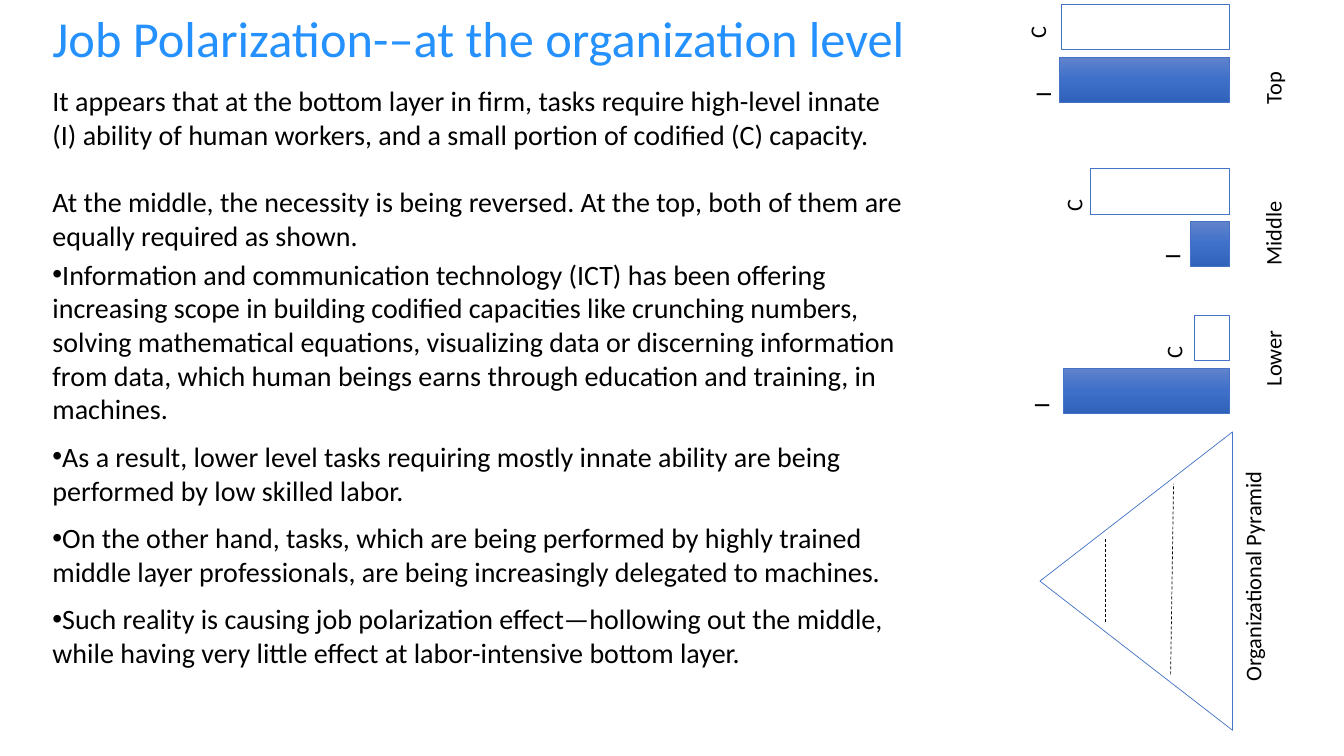
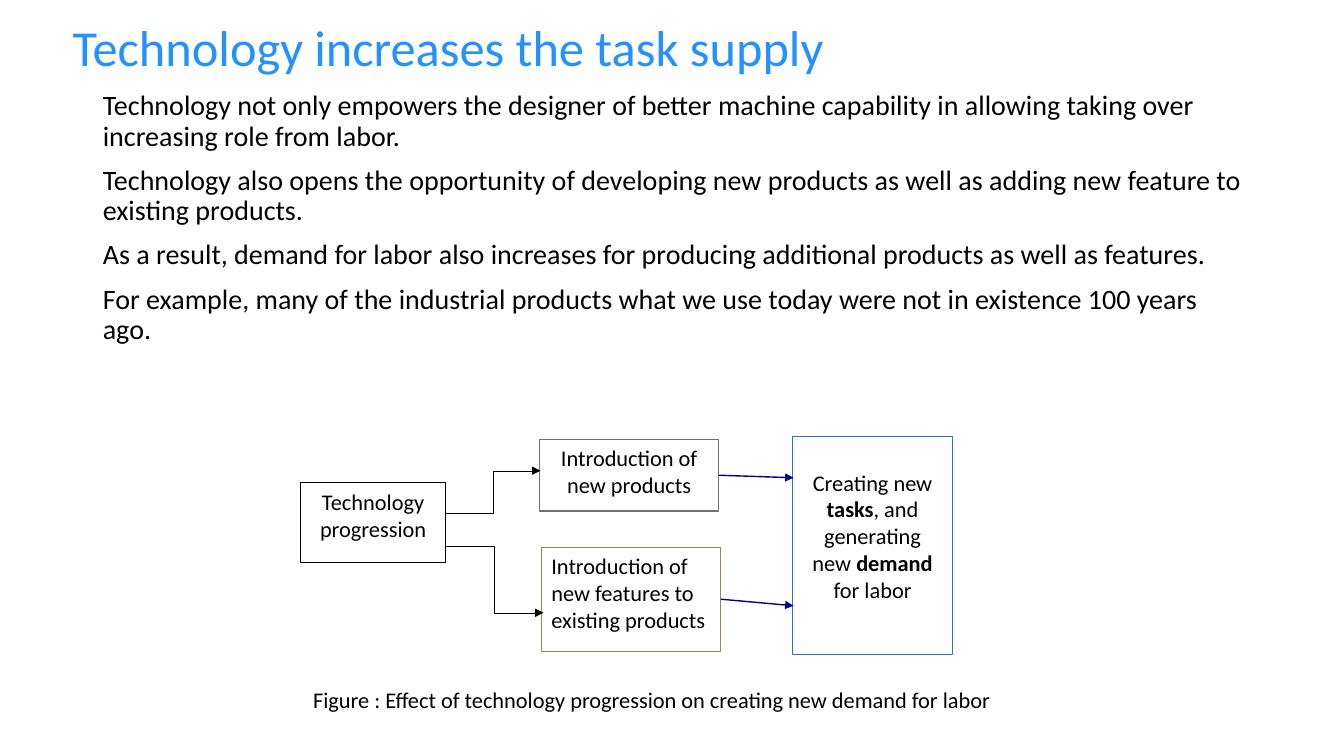
from lxml.etree import SubElement
from pptx import Presentation
from pptx.dml.color import RGBColor
from pptx.enum.dml import MSO_LINE
from pptx.enum.shapes import MSO_CONNECTOR, MSO_SHAPE
from pptx.enum.text import MSO_ANCHOR, MSO_AUTO_SIZE, PP_ALIGN
from pptx.oxml.ns import qn
from pptx.util import Inches, Pt

WIDTH, HEIGHT = Inches(13.33), Inches(7.5)
FONT = "Calibri"
BLACK = RGBColor(0x00, 0x00, 0x00)
WHITE = RGBColor(0xFF, 0xFF, 0xFF)
TITLE_BLUE = RGBColor(0x24, 0x91, 0xFE)
OUTLINE_BLUE = RGBColor(0x44, 0x72, 0xC4)
BAR_SHADES = (
    (0, RGBColor(0x61, 0x83, 0xCB)),
    (50, RGBColor(0x3E, 0x70, 0xCA)),
    (100, RGBColor(0x30, 0x62, 0xBB)),
)
GRAY = RGBColor(0x76, 0x71, 0x71)
OLIVE = RGBColor(0x94, 0x8A, 0x54)
DEMAND_BLUE = RGBColor(0x2E, 0x75, 0xB6)
NAVY = RGBColor(0x00, 0x00, 0x90)

BAR_RIGHT, BAR_HEIGHT, BAR_PITCH = 91.5, 6, 7
LABEL_WIDTH, LABEL_HEIGHT = 3.53, 6.93
LEVEL_LEFT, LEVEL_WIDTH, LEVEL_HEIGHT = 93.32, 4.05, 13.33
# level, its label's bottom, top of its bars, then (letter, width, gap, drop) per bar
LEVELS = (
    ("Top", 15.07, 0.53, (("C", 12.5, 1.43, -0.66), ("I", 12.7, 0.86, 0.2))),
    ("Middle", 36.4, 22.3, (("C", 10.4, 0.83, 0.5), ("I", 2.9, 1.05, -0.1))),
    ("Lower", 52.4, 41.7, (("C", 2.65, 1.15, 0.57), ("I", 12.4, 1.3, 0.23))),
)

POLARIZATION_INTRO = (
    "It appears that at the bottom layer in firm, tasks require high-level innate (I) ability of "
    "human workers, and a small portion of codified (C) capacity.",
    "At the middle, the necessity is being reversed. At the top, both of them are equally required "
    "as shown.",
)
POLARIZATION_POINTS = (
    "Information and communication technology (ICT) has been offering increasing scope in building "
    "codified capacities like crunching numbers, solving mathematical equations, visualizing data "
    "or discerning information from data, which human beings earns through education and training, "
    "in machines.",
    "As a result, lower level tasks requiring mostly innate ability are being performed by low "
    "skilled labor.",
    "On the other hand, tasks, which are being performed by highly trained middle layer "
    "professionals, are being increasingly delegated to machines.",
    "Such reality is causing job polarization effect—hollowing out the middle, while having very "
    "little effect at labor-intensive bottom layer.",
)
SUPPLY_POINTS = (
    "Technology not only empowers the designer of better machine capability in allowing taking "
    "over increasing role from labor.",
    "Technology also opens the opportunity of developing new products as well as adding new "
    "feature to existing products.",
    "As a result, demand for labor also increases for producing additional products as well as "
    "features.",
    "For example, many of the industrial products what we use today were not in existence 100 "
    "years ago.",
)


def across(share):
    """Turn a percentage of the slide's width into a length."""
    return round(WIDTH * share / 100)


def down(share):
    """Turn a percentage of the slide's height into a length."""
    return round(HEIGHT * share / 100)


def area(left, top, width, height, turned=False):
    """Return lengths for a visible area, swapped about its centre if turned."""
    x, y, w, h = across(left), down(top), across(width), down(height)
    return (x + (w - h) // 2, y + (h - w) // 2, h, w) if turned else (x, y, w, h)


def write(frame, text, size=16, color=BLACK, align=PP_ALIGN.LEFT, bullet=None,
          before=0, after=0, spacing=1.0):
    """Add a paragraph in which asterisks enclose bold words."""
    first = frame.paragraphs[0]
    paragraph = frame.add_paragraph() if first.runs else first
    paragraph.alignment = align
    paragraph.line_spacing = spacing
    paragraph.space_before, paragraph.space_after = Pt(before), Pt(after)
    properties = paragraph._p.get_or_add_pPr()
    properties.set("marL", "0")
    properties.set("indent", "0")
    if bullet:
        SubElement(properties, qn("a:buChar")).set("char", bullet)
    else:
        SubElement(properties, qn("a:buNone"))
    for position, words in enumerate(text.split("*")):
        run = paragraph.add_run()
        run.text = words
        run.font.name, run.font.size = FONT, Pt(size)
        run.font.color.rgb = color
        run.font.bold = position % 2 == 1


def place(holder, position, anchor):
    """Move a placeholder and return its text frame."""
    holder.left, holder.top, holder.width, holder.height = area(*position)
    frame = holder.text_frame
    frame.auto_size, frame.word_wrap = MSO_AUTO_SIZE.NONE, True
    frame.vertical_anchor = anchor
    return frame


def add_slide(deck, title, title_position, body_position):
    """Add a titled slide and return it with its body frame."""
    slide = deck.slides.add_slide(deck.slide_layouts[1])
    heading = place(slide.shapes.title, title_position, MSO_ANCHOR.MIDDLE)
    write(heading, title, size=36, color=TITLE_BLUE, spacing=0.9)
    return slide, place(slide.placeholders[1], body_position, MSO_ANCHOR.TOP)


def add_label(slide, text, position, turned=False, align=PP_ALIGN.LEFT):
    """Add a text box, reading upwards if turned."""
    label = slide.shapes.add_textbox(*area(*position, turned=turned))
    label.rotation = 270 if turned else 0
    label.text_frame.word_wrap = True
    write(label.text_frame, text, align=align)


def add_outlined(slide, preset, position, outline, weight, turned=False):
    """Add an unfilled, outlined preset shape."""
    shape = slide.shapes.add_shape(preset, *area(*position, turned=turned))
    shape.rotation = 270 if turned else 0
    shape.shadow.inherit = False
    shape.fill.background()
    shape.line.color.rgb, shape.line.width = outline, Pt(weight)
    return shape


def shade(shape):
    """Fill a shape with the blue gradient, light at the top."""
    shape.fill.gradient()
    shape.fill.gradient_angle = 270
    stops = shape._element.spPr.find(qn("a:gradFill")).find(qn("a:gsLst"))
    for stop in list(stops):
        stops.remove(stop)
    for share, color in BAR_SHADES:
        stop = SubElement(stops, qn("a:gs"))
        stop.set("pos", str(share * 1000))
        SubElement(stop, qn("a:srgbClr")).set("val", str(color))


def add_line(slide, start, end, color=BLACK, weight=0.5, kind=MSO_CONNECTOR.STRAIGHT,
             dashed=False, arrow=False):
    """Add a connector between two points."""
    line = slide.shapes.add_connector(
        kind, across(start[0]), down(start[1]), across(end[0]), down(end[1]))
    line.line.color.rgb, line.line.width = color, Pt(weight)
    if dashed:
        line.line.dash_style = MSO_LINE.DASH
    properties = line._element.spPr
    if arrow:
        SubElement(properties.find(qn("a:ln")), qn("a:tailEnd")).set("type", "triangle")
    SubElement(properties, qn("a:effectLst"))
    return line


def add_bar(slide, letter, top, width, gap, drop):
    """Add a capacity bar with its letter on the left."""
    left = BAR_RIGHT - width
    bar = add_outlined(slide, MSO_SHAPE.RECTANGLE, (left, top, width, BAR_HEIGHT),
                       OUTLINE_BLUE, 0.5)
    if letter == "I":
        shade(bar)
    else:
        bar.fill.solid()
        bar.fill.fore_color.rgb = WHITE
    add_label(slide, letter,
              (left - gap - LABEL_WIDTH / 2, top + drop + (BAR_HEIGHT - LABEL_HEIGHT) / 2,
               LABEL_WIDTH, LABEL_HEIGHT), turned=True)


def add_step(slide, text, position, outline, align=PP_ALIGN.CENTER, margin=0.05):
    """Add a box of the flow diagram."""
    step = add_outlined(slide, MSO_SHAPE.RECTANGLE, position, outline, 0.75)
    frame = step.text_frame
    frame.word_wrap, frame.vertical_anchor = True, MSO_ANCHOR.TOP
    frame.margin_top = Inches(margin)
    write(frame, text, align=align)
    return step


def build_polarization(deck):
    """Build the slide on job polarization."""
    slide, body = add_slide(deck, "Job Polarization-–at the organization level",
                            (3.15, 0.67, 86.27, 9.47), (3.15, 10.4, 65.34, 80.13))
    for position, text in enumerate(POLARIZATION_INTRO):
        write(body, text, size=20, before=24 * position)
    for text in POLARIZATION_POINTS:
        write(body, text, size=20, bullet="•", before=4, after=6)
    for level, bottom, top, bars in LEVELS:
        for position, (letter, *measures) in enumerate(bars):
            add_bar(slide, letter, top + position * BAR_PITCH, *measures)
        add_label(slide, level, (LEVEL_LEFT, bottom - LEVEL_HEIGHT, LEVEL_WIDTH, LEVEL_HEIGHT),
                  turned=True)
    add_outlined(slide, MSO_SHAPE.ISOSCELES_TRIANGLE, (77.38, 57.13, 14.33, 39.47),
                 OUTLINE_BLUE, 0.5, turned=True)
    add_line(slide, (82.22, 82.27), (82.22, 71.33), dashed=True)
    add_line(slide, (87.1, 89.2), (87.32, 64), dashed=True)
    add_label(slide, "Organizational Pyramid", (91.82, 56.53, 4.95, 39.47), turned=True,
              align=PP_ALIGN.CENTER)


def build_supply(deck):
    """Build the slide on task supply."""
    slide, body = add_slide(deck, "Technology increases the task supply",
                            (4.65, 0, 86.27, 13.2), (6.9, 11.47, 86.27, 34.13))
    for text in SUPPLY_POINTS:
        write(body, text, size=20, before=10, spacing=0.9)
    add_step(slide, "Technology progression", (22.36, 63.87, 10.8, 10.53), BLACK)
    products = add_step(slide, "Introduction of new products", (40.14, 58.13, 13.35, 9.47), GRAY)
    features = add_step(slide, "Introduction of new features to existing products",
                        (40.29, 72.4, 13.35, 13.73), OLIVE, align=PP_ALIGN.LEFT)
    add_step(slide, "Creating new *tasks*, and generating new *demand* for labor",
             (58.96, 57.73, 11.93, 28.8), DEMAND_BLUE, margin=0.32)
    for start, end in (((33.16, 72.27), (40.44, 81.07)), ((33.16, 67.87), (40.21, 62.27))):
        add_line(slide, start, end, weight=0.25, kind=MSO_CONNECTOR.ELBOW, arrow=True)
    for source, start, end in ((products, (53.49, 62.87), (59.04, 63.2)),
                               (features, (53.64, 79.27), (59.04, 80.13))):
        link = add_line(slide, start, end, color=NAVY, weight=1, arrow=True)
        link.begin_connect(source, 3)
    add_label(slide, "Figure : Effect of technology progression on creating new demand for labor",
              (22.36, 90.13, 52.29, 7.2), align=PP_ALIGN.CENTER)


def main():
    """Build and save the presentation."""
    deck = Presentation()
    deck.slide_width, deck.slide_height = WIDTH, HEIGHT
    build_polarization(deck)
    build_supply(deck)
    deck.save("out.pptx")


if __name__ == "__main__":
    main()
